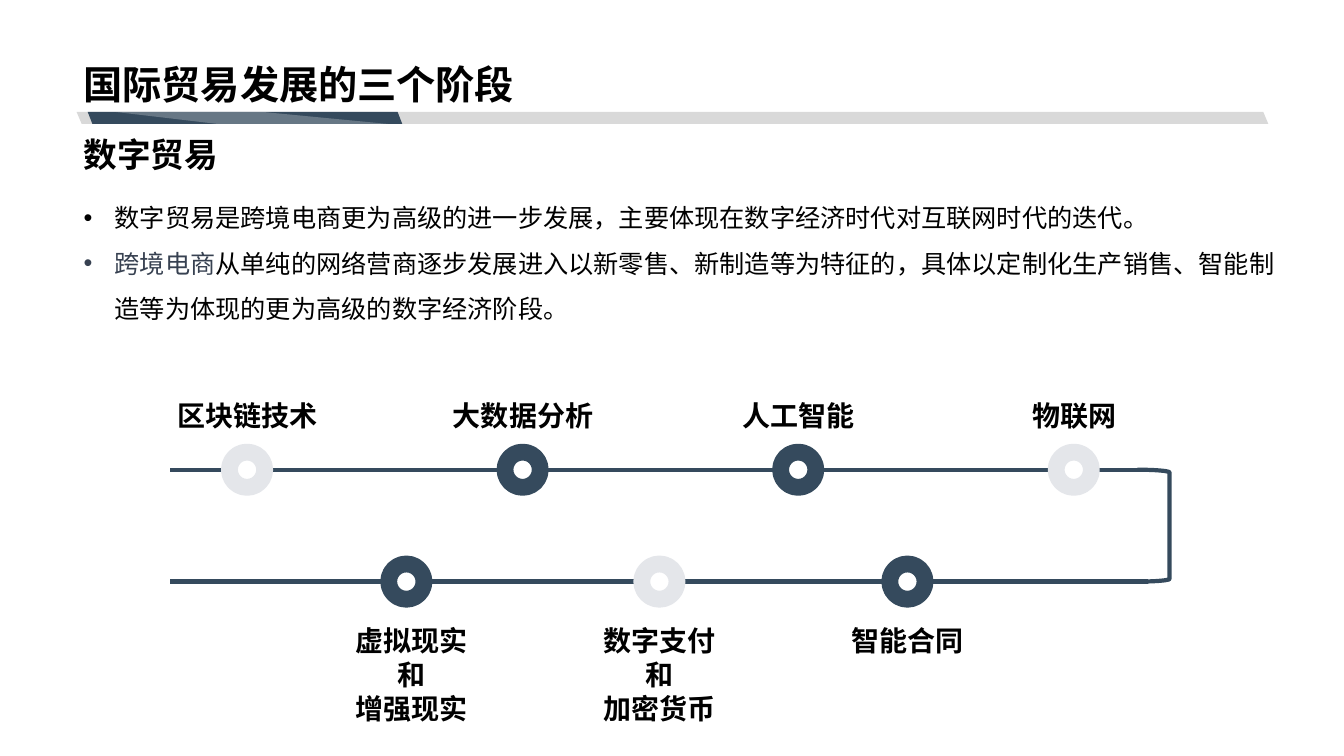
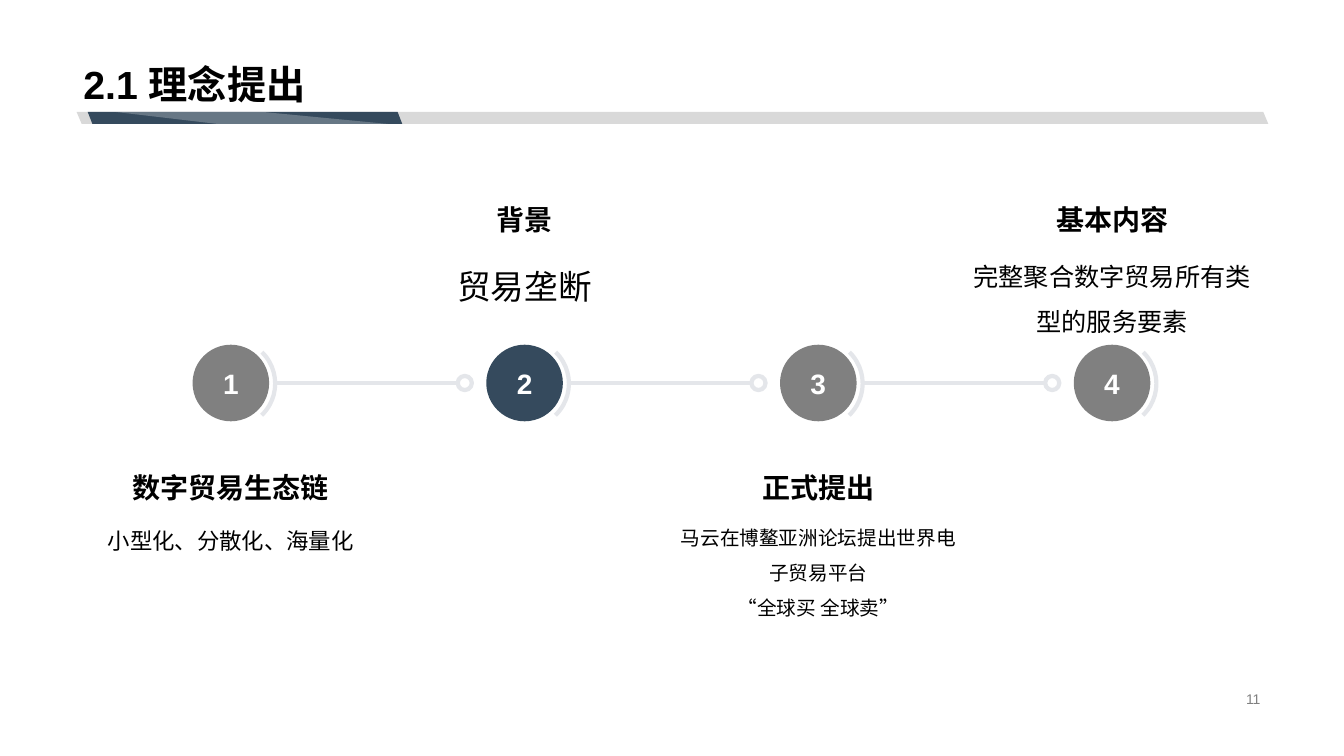
from dataclasses import dataclass

from lxml.etree import SubElement
from pptx import Presentation
from pptx.dml.color import RGBColor
from pptx.enum.shapes import MSO_CONNECTOR, MSO_SHAPE as SHAPE
from pptx.enum.text import MSO_ANCHOR as ANCHOR, PP_ALIGN as ALIGN
from pptx.oxml.ns import qn
from pptx.util import Inches, Pt


@dataclass(frozen=True)
class Theme:
    font: str = "Arial"
    lead_font: str = "Roboto"
    black: str = "000000"
    white: str = "FFFFFF"
    navy: str = "354A5D"
    slate: str = "374151"
    gray: str = "808080"
    band: str = "D9D9D9"
    pale: str = "E4E6EA"
    title: int = 28
    subtitle: int = 24
    label: int = 20
    body: int = 18
    page: int = 10
    line: int = 3
    ring: int = 12


THEME = Theme()


class Deck:
    def __init__(self):
        self.prs = Presentation()
        self.prs.slide_width = Inches(13.33)
        self.prs.slide_height = Inches(7.5)
        self.shapes = None

    def new_slide(self, title):
        self.shapes = self.prs.slides.add_slide(self.prs.slide_layouts[6]).shapes
        self.slanted_band(0.76, 11.82, THEME.band, 0.42)
        self.slanted_band(0.87, 3.12, THEME.navy, 0.39)
        self.band_gloss()
        self.text(0.73, 0, 11.87, 1.12, [title], THEME.title, bold=True,
                  align=ALIGN.LEFT, anchor=ANCHOR.BOTTOM, spacing=0.9)

    def slanted_band(self, left, width, color, slant):
        band = self.shape(SHAPE.PARALLELOGRAM, left, 1.11, width, 0.12, fill=color)
        band.adjustments[0] = slant
        band._element.spPr.find(qn("a:xfrm")).set("flipH", "1")

    def band_gloss(self):
        """Lay a translucent white streak over the dark part of the title band."""
        outline = self.shapes.build_freeform(Inches(3.85), Inches(1.23))
        corners = [(2.6, 1.11), (1.14, 1.11), (2.16, 1.23)]
        outline.add_line_segments([(Inches(x), Inches(y)) for x, y in corners])
        gloss = outline.convert_to_shape()
        self.paint(gloss, THEME.white)
        color = gloss._element.spPr.find(qn("a:solidFill"))[0]
        SubElement(color, qn("a:alpha"), val="25000")

    def paint(self, shape, fill=None, line=None, weight=THEME.line):
        shape.shadow.inherit = False
        if fill:
            shape.fill.solid()
            shape.fill.fore_color.rgb = RGBColor.from_string(fill)
        else:
            shape.fill.background()
        if line:
            shape.line.color.rgb = RGBColor.from_string(line)
            shape.line.width = Pt(weight)
        else:
            shape.line.fill.background()

    def shape(self, kind, left, top, width, height, **look):
        shape = self.shapes.add_shape(
            kind, Inches(left), Inches(top), Inches(width), Inches(height))
        self.paint(shape, **look)
        return shape

    def circle(self, x, y, size, **look):
        """Draw a circle centred on x, y."""
        return self.shape(SHAPE.OVAL, x - size / 2, y - size / 2, size, size, **look)

    def line(self, x1, x2, y, color):
        line = self.shapes.add_connector(
            MSO_CONNECTOR.STRAIGHT, Inches(x1), Inches(y), Inches(x2), Inches(y))
        line.line.color.rgb = RGBColor.from_string(color)
        line.line.width = Pt(THEME.line)
        SubElement(line._element.spPr, qn("a:effectLst"))

    def style(self, font, size=None, color=None, name=None, bold=None):
        if size:
            font.size = Pt(size)
        if color:
            font.color.rgb = RGBColor.from_string(color)
        font.name = name
        font.bold = bold

    def text(self, left, top, width, height, lines, size, color=THEME.black,
             bold=False, align=ALIGN.CENTER, anchor=ANCHOR.TOP, spacing=None):
        box = self.shapes.add_textbox(
            Inches(left), Inches(top), Inches(width), Inches(height))
        self.fill_text(box.text_frame, lines, size, color, bold, align, anchor, spacing)

    def fill_text(self, frame, lines, size, color, bold, align, anchor, spacing=None):
        frame.word_wrap = True
        frame.vertical_anchor = anchor
        frame.text = "\n".join(lines)
        for paragraph in frame.paragraphs:
            paragraph.alignment = align
            paragraph.line_spacing = spacing
            self.style(paragraph.font, size, color, THEME.font, bold)

    def bullets(self, left, top, width, height, items):
        """Add bullets; each item is a (highlighted lead, rest) pair."""
        frame = self.shapes.add_textbox(
            Inches(left), Inches(top), Inches(width), Inches(height)).text_frame
        frame.word_wrap = True
        for i, (lead, rest) in enumerate(items):
            paragraph = frame.add_paragraph() if i else frame.paragraphs[0]
            props = paragraph._p.get_or_add_pPr()
            props.set("marL", str(Inches(0.31)))
            props.set("indent", str(Inches(-0.31)))
            SubElement(props, qn("a:buFont"), typeface=THEME.font)
            SubElement(props, qn("a:buChar"), char="•")
            paragraph.line_spacing = 1.5
            self.style(paragraph.font, THEME.body, THEME.black, THEME.font)
            if lead:
                run = paragraph.add_run()
                run.text = lead
                self.style(run.font, color=THEME.slate, name=THEME.lead_font)
            paragraph.add_run().text = rest

    def node(self, x, y, color):
        self.circle(x, y, 0.35, fill=THEME.white, line=color, weight=THEME.ring)

    def node_label(self, x, top, lines):
        self.text(x - 0.98, top, 1.97, 0.11 + 0.33 * len(lines), lines,
                  THEME.label, bold=True)

    def step_badge(self, x, y, number, color):
        arc = self.shape(SHAPE.ARC, x - 0.43, y - 0.43, 0.87, 0.87, line=THEME.pale)
        arc.rotation = 270
        arc.adjustments[0], arc.adjustments[1] = 26.57, 81.76
        badge = self.circle(x, y, 0.76, fill=color)
        self.fill_text(badge.text_frame, [str(number)], THEME.label, THEME.white,
                       True, ALIGN.CENTER, ANCHOR.MIDDLE)

    def step_link(self, x, y):
        self.line(x + 0.45, x + 2.25, y, THEME.pale)
        self.circle(x + 2.32, y, 0.14, line=THEME.pale)

    def step_text(self, x, top, heading, lines, size):
        left, width = x - 1.56, 3.12
        self.text(left, top, width, 0.51, [heading], THEME.label, bold=True,
                  anchor=ANCHOR.BOTTOM)
        self.text(left, top + 0.51, width, 1.01, lines, size, spacing=1.5)


def digital_trade(deck):
    deck.new_slide("国际贸易发展的三个阶段")
    deck.text(0.73, 1.32, 5.02, 0.48, ["数字贸易"], THEME.subtitle, bold=True,
              align=ALIGN.LEFT, spacing=0.9)
    deck.bullets(0.73, 1.81, 12.12, 1.41, [
        ("", "数字贸易是跨境电商更为高级的进一步发展，主要体现在数字经济时代对互联网时代的迭代。"),
        ("跨境电商", "从单纯的网络营商逐步发展进入以新零售、新制造等为特征的，"
                     "具体以定制化生产销售、智能制造等为体现的更为高级的数字经济阶段。"),
    ])

    upper_y, lower_y = 4.66, 5.77
    for y in (upper_y, lower_y):
        deck.line(1.69, 11.39, y, THEME.navy)
    deck.shape(SHAPE.RIGHT_BRACKET, 11.28, upper_y, 0.32, lower_y - upper_y,
               line=THEME.navy)

    upper = [("区块链技术", THEME.pale), ("大数据分析", THEME.navy),
             ("人工智能", THEME.navy), ("物联网", THEME.pale)]
    for i, (label, color) in enumerate(upper):
        x = 2.45 + i * 8.2 / 3
        deck.node(x, upper_y, color)
        deck.node_label(x, 3.9, [label])

    lower = [(4.03, 4.08, ["虚拟现实", "和", "增强现实"], THEME.navy),
             (6.54, 6.54, ["数字支付", "和", "加密货币"], THEME.pale),
             (9, 9, ["智能合同"], THEME.navy)]
    for node_x, label_x, lines, color in lower:
        deck.node(node_x, lower_y, color)
        deck.node_label(label_x, 6.14, lines)


def concept(deck):
    deck.new_slide("2.1 理念提出")
    deck.text(9.42, 6.82, 3.18, 0.23, ["11"], THEME.page, THEME.gray,
              align=ALIGN.RIGHT, anchor=ANCHOR.MIDDLE)

    axis_y, above, below = 3.8, 1.88, 4.54
    steps = [
        (below, THEME.gray, "数字贸易生态链", ["小型化、分散化、海量化"], 16),
        (above, THEME.navy, "背景", ["贸易垄断"], 24),
        (below, THEME.gray, "正式提出",
         ["马云在博鳌亚洲论坛提出世界电子贸易平台", "“全球买 全球卖”"], 14),
        (above, THEME.gray, "基本内容", ["完整聚合数字贸易所有类型的服务要素"], 18),
    ]
    for i, (top, color, heading, lines, size) in enumerate(steps):
        x = 2.29 + i * 8.74 / 3
        if i < len(steps) - 1:
            deck.step_link(x, axis_y)
        deck.step_badge(x, axis_y, i + 1, color)
        deck.step_text(x, top, heading, lines, size)


def main():
    deck = Deck()
    digital_trade(deck)
    concept(deck)
    deck.prs.save("out.pptx")


if __name__ == "__main__":
    main()
